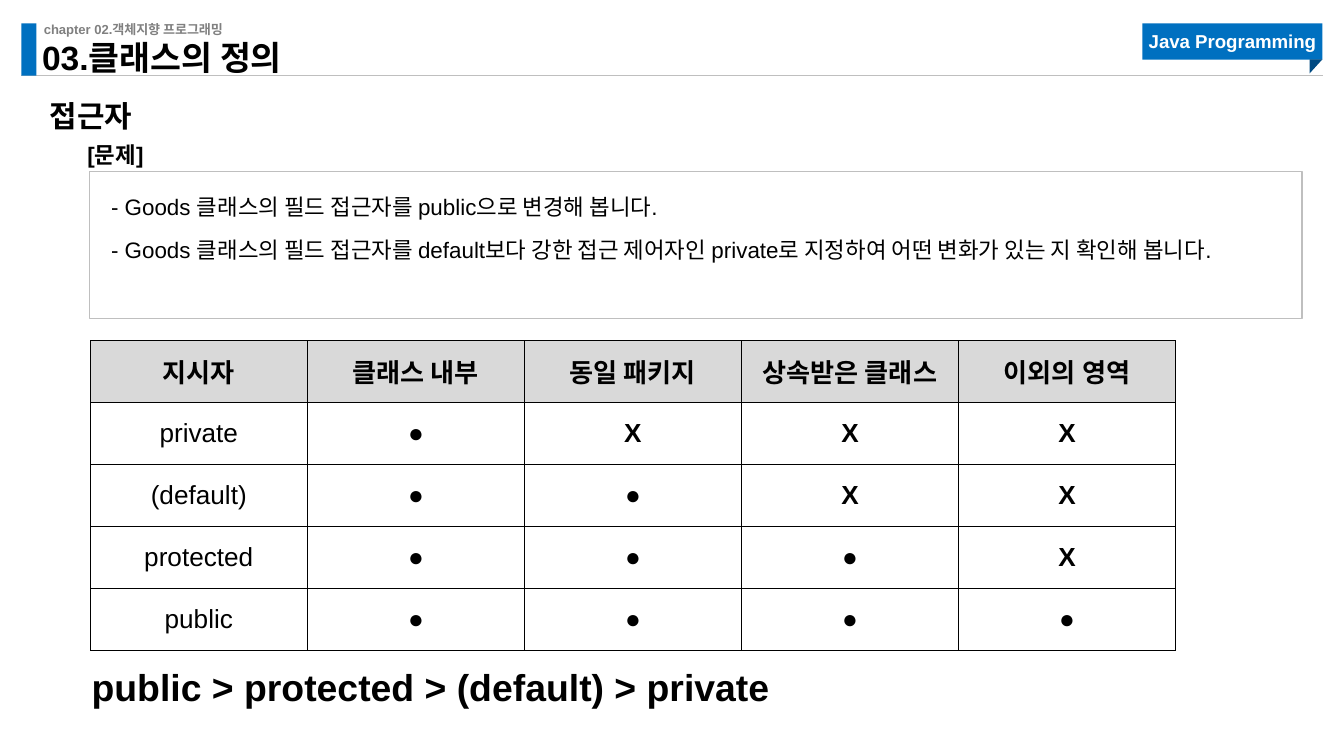
"""Build the Java access modifier slide with its exercise and comparison table."""
from lxml import etree
from pptx import Presentation
from pptx.dml.color import RGBColor
from pptx.enum.shapes import MSO_CONNECTOR, MSO_SHAPE
from pptx.enum.text import MSO_ANCHOR, PP_ALIGN
from pptx.oxml.ns import qn
from pptx.util import Pt

LEFT, CENTER = PP_ALIGN.LEFT, PP_ALIGN.CENTER
TOP, MIDDLE, BOTTOM = MSO_ANCHOR.TOP, MSO_ANCHOR.MIDDLE, MSO_ANCHOR.BOTTOM
RECTANGLE, FOLD = MSO_SHAPE.RECTANGLE, MSO_SHAPE.RIGHT_TRIANGLE
COLORS = {
    "blue": "0070C0",
    "navy": "004A82",
    "rule": "BFBFBF",
    "header": "D9D9D9",
    "gray": "808080",
    "black": "000000",
    "white": "FFFFFF",
}


def rgb(name):
    return RGBColor.from_string(COLORS[name])


def write(frame, lines, size, bold=True, color="black", align=LEFT, anchor=TOP,
          insets=(0, 0, 0, 0), line_spacing=None):
    frame.word_wrap = True
    frame.vertical_anchor = anchor
    frame.margin_left, frame.margin_top, frame.margin_right, frame.margin_bottom = map(Pt, insets)
    frame.text = "\n".join(lines)
    for paragraph in frame.paragraphs:
        paragraph.alignment = align
        if line_spacing:
            paragraph.line_spacing = line_spacing
        paragraph.font.name = "Arial"
        paragraph.font.size = Pt(size)
        paragraph.font.bold = bold
        paragraph.font.color.rgb = rgb(color)


prs = Presentation()
prs.slide_width, prs.slide_height = Pt(720), Pt(405)
slide = prs.slides.add_slide(prs.slide_layouts[5])
shapes = slide.shapes

header_rule = shapes.add_connector(MSO_CONNECTOR.STRAIGHT, Pt(11.5), Pt(40.5), Pt(708.5), Pt(40.5))
header_rule.line.color.rgb = rgb("rule")
header_rule.line.width = Pt(0.5)
etree.SubElement(header_rule._element.spPr, qn("a:effectLst"))

panels = []
for preset, left, top, width, height, fill in (
    (RECTANGLE, 11.5, 12.5, 8, 28, "blue"),
    (RECTANGLE, 612, 12.5, 96.5, 19.5, "blue"),
    (FOLD, 701.2, 32.2, 7.5, 6.8, "navy"),
    (RECTANGLE, 48, 92, 649.5, 78.5, None),
):
    panel = shapes.add_shape(preset, Pt(left), Pt(top), Pt(width), Pt(height))
    panel.shadow.inherit = False
    if fill:
        panel.fill.solid()
        panel.fill.fore_color.rgb = rgb(fill)
        panel.line.fill.background()
    else:
        panel.fill.background()
        panel.line.color.rgb = rgb("rule")
        panel.line.width = Pt(0.75)
    panels.append(panel)
accent, course_tag, tag_fold, exercise = panels
tag_fold.rotation = 90
write(course_tag.text_frame, ["Java Programming"], 10, color="white", align=CENTER, anchor=MIDDLE)
write(exercise.text_frame, [
    "- Goods 클래스의 필드 접근자를 public으로 변경해 봅니다.",
    "- Goods 클래스의 필드 접근자를 default보다 강한 접근 제어자인 private로 지정하여 어떤 변화가 있는 지 확인해 봅니다.",
], 12, bold=False, insets=(11.5, 8.6, 11.5, 0), line_spacing=1.2)
exercise.text_frame.paragraphs[1].space_before = Pt(6)

title = shapes.title
title.left, title.top, title.width, title.height = Pt(22.5), Pt(25), Pt(237.5), Pt(16.5)
write(title.text_frame, ["03.클래스의 정의"], 18, anchor=BOTTOM, line_spacing=0.9)

chapter = shapes.add_textbox(Pt(23.5), Pt(11.5), Pt(232.5), Pt(8.5))
write(chapter.text_frame, ["chapter 02.객체지향 프로그래밍"], 7, color="gray")

topic = shapes.add_textbox(Pt(26.8), Pt(42.5), Pt(687), Pt(24))
topic.text_frame.text = "접근자"
topic_format = topic.text_frame.paragraphs[0]._p.get_or_add_pPr()
topic_format.set("marL", str(Pt(21)))
topic_format.set("indent", str(Pt(-21)))
etree.SubElement(topic_format, qn("a:buFont"), typeface="Arial")
etree.SubElement(topic_format, qn("a:buChar"), char="■")
write(topic.text_frame, ["접근자"], 16, line_spacing=1.5)

for text, size, left, top, width, height in (
    ("[문제]", 12, 39.8, 72, 171.5, 21.8),
    ("public > protected > (default) > private", 20, 42, 352, 454.5, 31.5),
):
    label = shapes.add_textbox(Pt(left), Pt(top), Pt(width), Pt(height))
    write(label.text_frame, [text], size, insets=(7.2, 3.6, 7.2, 3.6))

headings = ["지시자", "클래스 내부", "동일 패키지", "상속받은 클래스", "이외의 영역"]
modifiers = ["private", "(default)", "protected", "public"]
rows = [headings] + [
    [modifier] + ["●"] * reach + ["X"] * (len(modifiers) - reach)
    for reach, modifier in enumerate(modifiers, 1)
]
access = shapes.add_table(len(rows), len(headings), Pt(48.4), Pt(182.4), Pt(581.5), Pt(166)).table
for column in access.columns:
    column.width = Pt(116.3)
for row in access.rows:
    row.height = Pt(33.2)

for row_index, row in enumerate(rows):
    for column_index, text in enumerate(row):
        cell = access.cell(row_index, column_index)
        is_header = row_index == 0
        write(cell.text_frame, [text], 14, bold=is_header or column_index > 0, align=CENTER)
        cell.vertical_anchor = MIDDLE
        across, down = (0, 0) if is_header else (7.2, 3.6)
        cell.margin_left = cell.margin_right = Pt(across)
        cell.margin_top = cell.margin_bottom = Pt(down)
        cell_format = cell._tc.get_or_add_tcPr()
        for side in ("lnL", "lnR", "lnT", "lnB"):
            border = etree.SubElement(cell_format, qn(f"a:{side}"), w=str(Pt(0.25)))
            border_fill = etree.SubElement(border, qn("a:solidFill"))
            etree.SubElement(border_fill, qn("a:srgbClr"), val=COLORS["black"])
        cell.fill.solid()
        cell.fill.fore_color.rgb = rgb("header" if is_header else "white")

prs.save("out.pptx")
